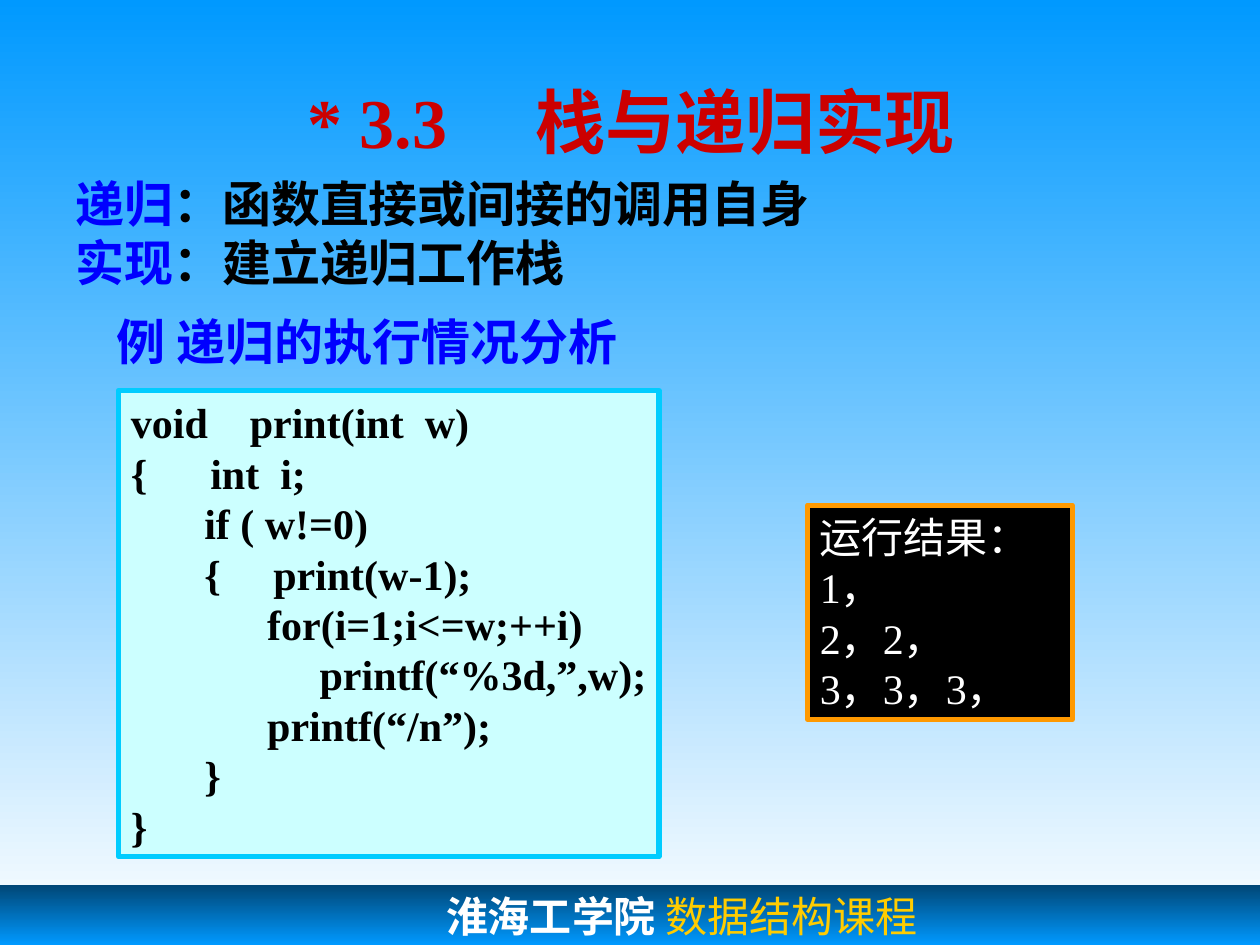
from pptx import Presentation
from pptx.dml.color import RGBColor
from pptx.enum.shapes import MSO_SHAPE as SHAPE
from pptx.enum.text import MSO_ANCHOR as ANCHOR, PP_ALIGN as ALIGN
from pptx.oxml import parse_xml
from pptx.oxml.ns import nsdecls
from pptx.util import Inches, Pt

BLUE = RGBColor(0x00, 0x00, 0xFF)
SKY = RGBColor(0x00, 0x99, 0xFF)
NAVY = RGBColor(0x00, 0x46, 0x75)
CYAN = RGBColor(0x00, 0xCC, 0xFF)
PALE_CYAN = RGBColor(0xCC, 0xFF, 0xFF)
RED = RGBColor(0xCC, 0x00, 0x00)
ORANGE = RGBColor(0xFF, 0x99, 0x00)
YELLOW = RGBColor(0xFF, 0xCC, 0x00)
WHITE = RGBColor(0xFF, 0xFF, 0xFF)
BLACK = RGBColor(0x00, 0x00, 0x00)
SERIF, SANS = "Times New Roman", "Noto Sans CJK SC"


def set_gradient(fill, top, bottom):
    fill.gradient()
    fill.gradient_angle = 270
    for stop, color in zip(fill.gradient_stops, (top, bottom)):
        stop.color.rgb = color


def add_run(p, text, size, color, bold=True, font=SERIF):
    r = p.add_run()
    r.text = text
    r.font.size, r.font.name, r.font.bold = Pt(size), font, bold
    r.font.color.rgb = color


prs = Presentation()
prs.slide_width, prs.slide_height = Inches(10), Inches(7.5)
s = prs.slides.add_slide(prs.slide_layouts[6])
set_gradient(s.background.fill, SKY, WHITE)

# Footer band
sp = s.shapes.add_shape(SHAPE.RECTANGLE, 0, Inches(7.02), Inches(10), Inches(0.48))
sp.shadow.inherit = False
set_gradient(sp.fill, NAVY, SKY)
sp.line.fill.background()
tf = sp.text_frame
tf.vertical_anchor = ANCHOR.TOP
tf.margin_left = Inches(3.54)
p = tf.paragraphs[0]
p.alignment = ALIGN.LEFT
add_run(p, "淮海工学院", 24, WHITE, font="Courier New")
add_run(p, " 数据结构课程", 24, YELLOW, bold=False)

# Title, with a tab between number and name
sp = s.shapes.add_textbox(Inches(2.34), Inches(0.75), Inches(6.91), Inches(0.42))
tf = sp.text_frame
tf.word_wrap = True
tf.vertical_anchor = ANCHOR.MIDDLE
p = tf.paragraphs[0]
p._p.get_or_add_pPr().append(parse_xml(
    f'<a:tabLst {nsdecls("a")}><a:tab pos="{Inches(1.81)}" algn="l"/></a:tabLst>'))
add_run(p, "* 3.3\t栈与递归实现", 40, RED)

# Definitions
sp = s.shapes.add_textbox(Inches(0.5), Inches(1.33), Inches(7), Inches(1.17))
tf = sp.text_frame
tf.word_wrap = True
definitions = [("递归", "：函数直接或间接的调用自身"), ("实现", "：建立递归工作栈")]
for i, (term, meaning) in enumerate(definitions):
    p = tf.add_paragraph() if i else tf.paragraphs[0]
    add_run(p, term, 28, BLUE)
    add_run(p, meaning, 28, BLACK)

# Example heading
sp = s.shapes.add_textbox(Inches(0.83), Inches(2.42), Inches(5), Inches(0.57))
tf = sp.text_frame
tf.word_wrap = True
add_run(tf.paragraphs[0], "例 递归的执行情况分析", 28, BLUE, font=SANS)

# Code panel and output panel
code = [
    "void    print(int  w)",
    "{      int  i;",
    "       if ( w!=0)",
    "       {     print(w-1);",
    "             for(i=1;i<=w;++i)",
    "                  printf(“%3d,”,w);",
    "             printf(“/n”);",
    "       }",
    "}",
]
output = ["运行结果：", "1，", "2，2，", "3，3，3，"]
panels = [
    (0.94, 3.1, 4.29, 3.7, PALE_CYAN, CYAN, code, BLACK, True),
    (6.41, 4.01, 2.1, 1.7, BLACK, ORANGE, output, WHITE, False),
]
for left, top, width, height, fill, border, lines, color, bold in panels:
    sp = s.shapes.add_shape(SHAPE.RECTANGLE, Inches(left), Inches(top),
                            Inches(width), Inches(height))
    sp.shadow.inherit = False
    sp.fill.solid()
    sp.fill.fore_color.rgb = fill
    sp.line.color.rgb = border
    sp.line.width = Pt(3)
    tf = sp.text_frame
    tf.word_wrap = False
    tf.vertical_anchor = ANCHOR.MIDDLE
    for i, line in enumerate(lines):
        p = tf.add_paragraph() if i else tf.paragraphs[0]
        p.alignment = ALIGN.LEFT
        p.line_spacing = Pt(28.8)
        add_run(p, line, 24, color, bold)

prs.save("out.pptx")
